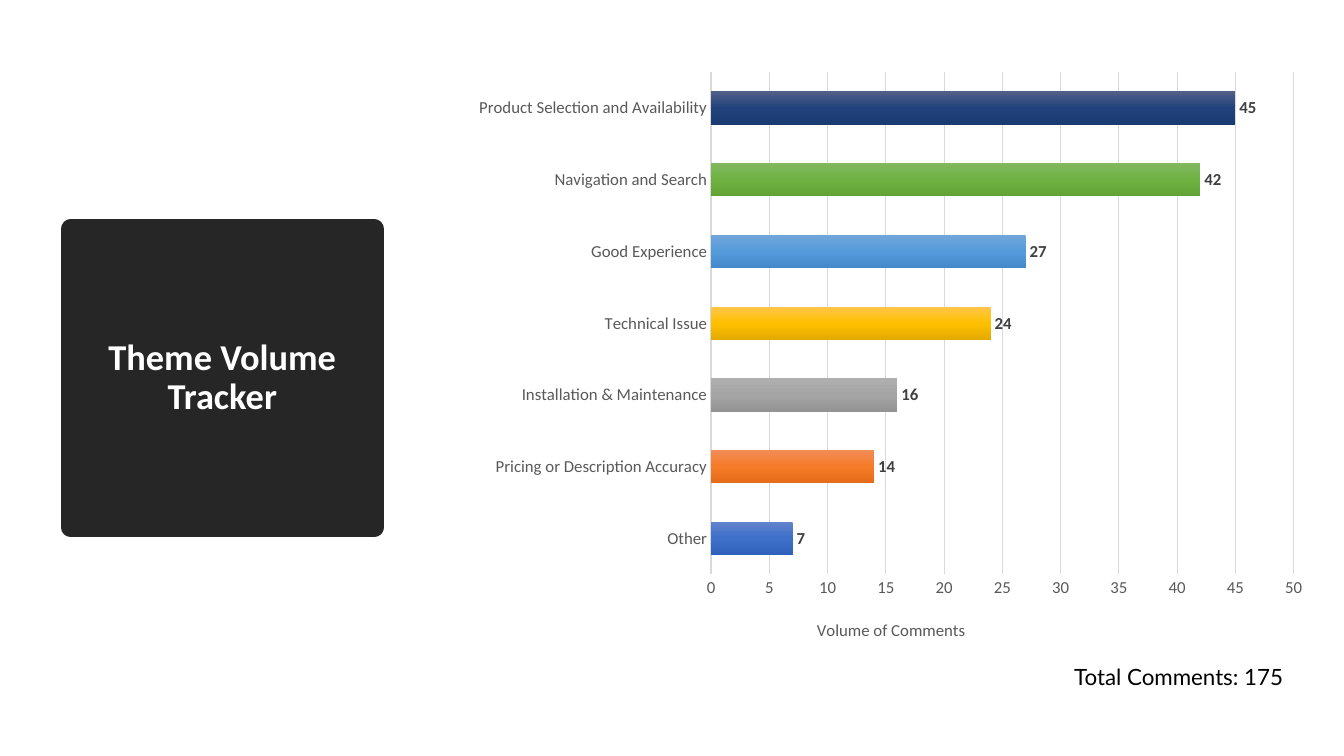
import pptx
import pptx.chart.data
import pptx.dml.color
import pptx.enum.chart
import pptx.enum.dml
import pptx.enum.text
import pptx.oxml
import pptx.oxml.ns
import pptx.util
from pptx.util import Cm

GREY_TEXT = "595959"
GREY_LINE = "D9D9D9"
DARK = "262626"

# Theme, volume, and gradient colours from top to bottom of the bar
THEMES = [
    ("Other", 7, ("6183CB", "3E70CA", "3062BB")),
    ("Pricing or Description Accuracy", 14, ("F18C57", "F67B28", "E56C19")),
    ("Installation & Maintenance", 16, ("AFAFAF", "A5A5A5", "939393")),
    ("Technical Issue", 24, ("FFC64B", "FFC000", "E3AB00")),
    ("Good Experience", 27, ("71A6DB", "559BDB", "448ACA")),
    ("Navigation and Search", 42, ("81B861", "6FB242", "62A336")),
    ("Product Selection and Availability", 45, ("516089", "22427D", "1A3A72")),
]


def color(hex_string):
    return pptx.dml.color.RGBColor.from_string(hex_string)


def style_font(font, size, hex_string, name="Calibri", bold=False):
    font.size = pptx.util.Pt(size)
    font.name = name
    font.bold = bold
    font.color.rgb = color(hex_string)


def style_line(line, hex_string, width):
    line.color.rgb = color(hex_string)
    line.width = pptx.util.Pt(width)


def place(shape, left, top, width, height):
    shape.left, shape.top = Cm(left), Cm(top)
    shape.width, shape.height = Cm(width), Cm(height)


def add_round_title(slide, text):
    """Turn the title placeholder into a dark circle with centred text."""
    title = slide.shapes.title
    place(title, 1.78, 5.77, 7.65, 7.52)
    title._element.spPr.append(pptx.oxml.parse_xml(
        f'<a:prstGeom {pptx.oxml.ns.nsdecls("a")} prst="ellipse"><a:avLst/></a:prstGeom>'))
    title.fill.solid()
    title.fill.fore_color.rgb = color(DARK)
    style_line(title.line, DARK, 13.75)
    frame = title.text_frame
    frame.word_wrap = True
    frame.auto_size = pptx.enum.text.MSO_AUTO_SIZE.NONE
    frame.vertical_anchor = pptx.enum.text.MSO_ANCHOR.MIDDLE
    paragraph = frame.paragraphs[0]
    paragraph.alignment = pptx.enum.text.PP_ALIGN.CENTER
    paragraph.line_spacing = 0.9
    paragraph.space_after = pptx.util.Pt(6)
    run = paragraph.add_run()
    run.text = text
    style_font(run.font, 26, "FFFFFF", bold=True)


def add_total(slide, text):
    box = slide.shapes.add_textbox(Cm(26.82), Cm(16.59), Cm(9.86), Cm(0.94))
    box.text_frame.word_wrap = True
    paragraph = box.text_frame.paragraphs[0]
    paragraph.space_after = pptx.util.Pt(6)
    run = paragraph.add_run()
    run.text = text
    style_font(run.font, 16, "000000", name="Lato")


def manual_layout(inner="", **fractions):
    """Build a chart layout from fractions of the chart's size."""
    modes = '<c:xMode val="edge"/><c:yMode val="edge"/>'
    values = "".join(f'<c:{key} val="{value}"/>' for key, value in fractions.items())
    return pptx.oxml.parse_xml(
        f'<c:layout {pptx.oxml.ns.nsdecls("c")}><c:manualLayout>'
        f'{inner}{modes}{values}</c:manualLayout></c:layout>')


def set_layout(parent, layout, following):
    """Replace the layout of a chart part, keeping it ahead of the following tag."""
    for old in parent.findall(pptx.oxml.ns.qn("c:layout")):
        parent.remove(old)
    parent.find(pptx.oxml.ns.qn(following)).addprevious(layout)


def fill_bar(series, index, colors):
    stops = "".join(
        f'<a:gs pos="{step * 50000}"><a:srgbClr val="{value}"/></a:gs>'
        for step, value in enumerate(colors))
    properties = series._element.get_or_add_dPt_for_point(index).get_or_add_spPr()
    properties.append(pptx.oxml.parse_xml(
        f'<a:gradFill {pptx.oxml.ns.nsdecls("a")} rotWithShape="1"><a:gsLst>{stops}</a:gsLst>'
        '<a:lin ang="5400000" scaled="0"/></a:gradFill>'))


def style_axes(chart):
    for axis in (chart.category_axis, chart.value_axis):
        axis.major_tick_mark = pptx.enum.chart.XL_TICK_MARK.NONE
        axis.minor_tick_mark = pptx.enum.chart.XL_TICK_MARK.NONE
        style_font(axis.tick_labels.font, 12, GREY_TEXT)
    style_line(chart.category_axis.format.line, GREY_LINE, 1)
    volume_axis = chart.value_axis
    volume_axis.minimum_scale, volume_axis.maximum_scale = 0, 50
    volume_axis.major_unit = 5
    volume_axis.format.line.fill.background()
    style_line(volume_axis.major_gridlines.format.line, GREY_LINE, 0.75)
    axis_title = volume_axis.axis_title
    run = axis_title.text_frame.paragraphs[0].add_run()
    run.text = "Volume of Comments"
    style_font(run.font, 12, GREY_TEXT)
    set_layout(axis_title._element, manual_layout(x=0.41, y=0.93), "c:overlay")


def add_volume_chart(slide):
    names, volumes, gradients = zip(*THEMES)
    data = pptx.chart.data.CategoryChartData()
    data.categories = names
    data.add_series("Series 1", volumes)
    chart = slide.shapes.add_chart(
        pptx.enum.chart.XL_CHART_TYPE.BAR_CLUSTERED,
        Cm(11.66), Cm(1.52), Cm(21.59), Cm(15.06), data).chart
    chart.has_legend = False
    chart.has_title = False
    style_font(chart.font, 10, "000000")
    style_axes(chart)

    plot = chart.plots[0]
    plot.gap_width = 115
    plot.overlap = -20
    plot.vary_by_categories = False
    for index, colors in enumerate(gradients):
        fill_bar(plot.series[0], index, colors)
    labels = plot.series[0].data_labels
    labels.show_value = True
    labels.position = pptx.enum.chart.XL_LABEL_POSITION.OUTSIDE_END
    style_font(labels.font, 12, "404040", bold=True)

    plot_area = chart._chartSpace.chart.plotArea
    inner = '<c:layoutTarget val="inner"/>'
    set_layout(plot_area, manual_layout(inner, x=0.29, y=0.02, w=0.68, h=0.84), "c:barChart")


def main():
    presentation = pptx.Presentation()
    presentation.slide_width, presentation.slide_height = Cm(33.87), Cm(19.05)
    slide = presentation.slides.add_slide(presentation.slide_layouts.get_by_name("Title Only"))
    add_round_title(slide, "Theme Volume Tracker")
    add_total(slide, "Total Comments: 175")
    add_volume_chart(slide)
    presentation.save("out.pptx")


if __name__ == "__main__":
    main()
